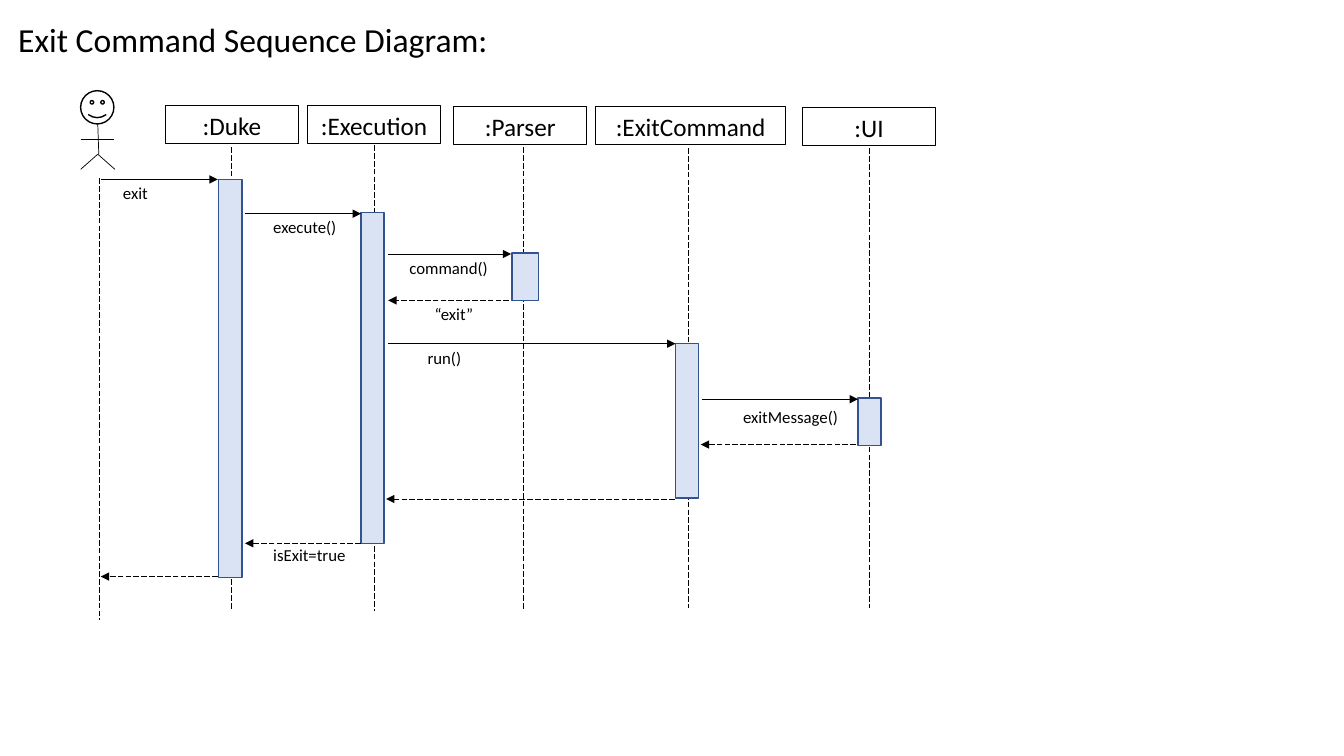
import pptx
import pptx.util
import pptx.dml.color
import pptx.enum.dml
import pptx.enum.shapes
import pptx.enum.text
import pptx.oxml.ns
import lxml.etree

Inches = pptx.util.Inches
Pt = pptx.util.Pt
SHAPE = pptx.enum.shapes.MSO_SHAPE
ALIGN = pptx.enum.text.PP_ALIGN
COLOURS = {"ink": "000000", "bar": "DAE3F3", "bar_edge": "32538F"}
FONT = "Calibri"


def write(frame, text, size=12, align=ALIGN.LEFT, wrap=True):
    frame.word_wrap = wrap
    frame.auto_size = pptx.enum.text.MSO_AUTO_SIZE.NONE
    frame.vertical_anchor = pptx.enum.text.MSO_ANCHOR.TOP
    frame.margin_left = frame.margin_right = Inches(0.05)
    frame.margin_top = frame.margin_bottom = Inches(0.05)
    para = frame.paragraphs[0]
    para.alignment = align
    span = para.add_run()
    span.text = text
    span.font.name = FONT
    span.font.size = Pt(size)
    span.font.color.rgb = pptx.dml.color.RGBColor.from_string(COLOURS["ink"])


class SequenceDiagram:
    """Draws the parts of a sequence diagram on one page in a shared style."""

    def __init__(self, page):
        self.page = page

    def stroke(self, line, colour, width):
        line.color.rgb = pptx.dml.color.RGBColor.from_string(COLOURS[colour])
        line.width = Pt(width)

    def title(self, text):
        box = self.page.shapes.title
        box.left, box.top = Inches(0.13), Inches(0.14)
        box.width, box.height = Inches(5.63), Inches(0.43)
        write(box.text_frame, text, size=24)

    def shape(self, kind, left, top, width, height, fill=None, edge="ink", weight=0.75):
        box = self.page.shapes.add_shape(
            kind, Inches(left), Inches(top), Inches(width), Inches(height))
        box.shadow.inherit = False
        if fill:
            box.fill.solid()
            box.fill.fore_color.rgb = pptx.dml.color.RGBColor.from_string(COLOURS[fill])
        else:
            box.fill.background()
        self.stroke(box.line, edge, weight)
        return box

    def line(self, x1, y1, x2, y2, dashed=False, arrow=False):
        link = self.page.shapes.add_connector(
            pptx.enum.shapes.MSO_CONNECTOR.STRAIGHT,
            Inches(x1), Inches(y1), Inches(x2), Inches(y2))
        self.stroke(link.line, "ink", 0.5)
        if dashed:
            link.line.dash_style = pptx.enum.dml.MSO_LINE.LONG_DASH
        qn = pptx.oxml.ns.qn
        if arrow:
            lxml.etree.SubElement(link.line._get_or_add_ln(), qn("a:tailEnd"), type="triangle")
        lxml.etree.SubElement(link._element.spPr, qn("a:effectLst"))

    def actor(self):
        self.shape(SHAPE.SMILEY_FACE, 0.8, 0.9, 0.33, 0.33, weight=1)
        self.line(0.97, 1.23, 0.98, 1.53)
        self.line(0.8, 1.38, 1.13, 1.38)
        for foot in (0.8, 1.14):
            self.line(0.97, 1.53, foot, 1.68)

    def participant(self, name, left, top, width, axis, start, end):
        box = self.shape(SHAPE.RECTANGLE, left, top, width, 0.37)
        write(box.text_frame, name, size=18, align=ALIGN.CENTER)
        self.line(axis, start, axis, end, dashed=True)

    def activation(self, left, top, width, height):
        self.shape(SHAPE.RECTANGLE, left, top, width, height,
                   fill="bar", edge="bar_edge", weight=1)

    def message(self, start, end, y):
        self.line(start, y, end, y, dashed=end < start, arrow=True)

    def label(self, text, left, top, width):
        box = self.page.shapes.add_textbox(
            Inches(left), Inches(top), Inches(width), Inches(0.27))
        write(box.text_frame, text, wrap=False)


PARTICIPANTS = [
    (":Duke", 1.64, 1.05, 1.32, 2.29, 1.46, 6.04),
    (":Execution", 3.05, 1.05, 1.32, 3.71, 1.44, 6.06),
    (":Parser", 4.5, 1.06, 1.32, 5.19, 1.46, 6.04),
    (":ExitCommand", 5.91, 1.06, 1.88, 6.83, 1.47, 6.03),
    (":UI", 7.96, 1.07, 1.32, 8.62, 1.47, 6.03),
]
ACTIVATIONS = [
    (2.17, 1.78, 0.23, 3.95),
    (3.58, 2.11, 0.23, 3.28),
    (5.08, 2.51, 0.26, 0.47),
    (6.7, 3.41, 0.23, 1.53),
    (8.51, 3.95, 0.23, 0.47),
]
MESSAGES = [
    (1, 2.16, 1.78), (2.43, 3.58, 2.12), (3.85, 5.07, 2.52),
    (5.05, 3.85, 2.98), (3.85, 6.7, 3.41), (6.96, 8.51, 3.96),
    (8.49, 6.95, 4.41), (6.69, 3.83, 4.95), (3.58, 2.43, 5.39),
    (2.16, 1, 5.72),
]
LABELS = [
    ("exit", 1.17, 1.76, 0.36),
    ("execute()", 2.66, 2.1, 0.74),
    ("command()", 4.01, 2.51, 0.89),
    ("“exit”", 4.26, 2.96, 0.5),
    ("run()", 4.19, 3.4, 0.45),
    ("exitMessage()", 7.32, 3.99, 1.06),
    ("isExit=true", 2.66, 5.36, 0.83),
]


def main():
    deck = pptx.Presentation()
    deck.slide_width, deck.slide_height = Inches(13.33), Inches(7.5)
    diagram = SequenceDiagram(deck.slides.add_slide(deck.slide_layouts[5]))
    diagram.title("Exit Command Sequence Diagram:")
    diagram.line(0.99, 1.77, 0.99, 6.15, dashed=True)
    diagram.actor()
    for draw, rows in (
        (diagram.participant, PARTICIPANTS),
        (diagram.activation, ACTIVATIONS),
        (diagram.message, MESSAGES),
        (diagram.label, LABELS),
    ):
        for row in rows:
            draw(*row)
    deck.save("out.pptx")


if __name__ == "__main__":
    main()
